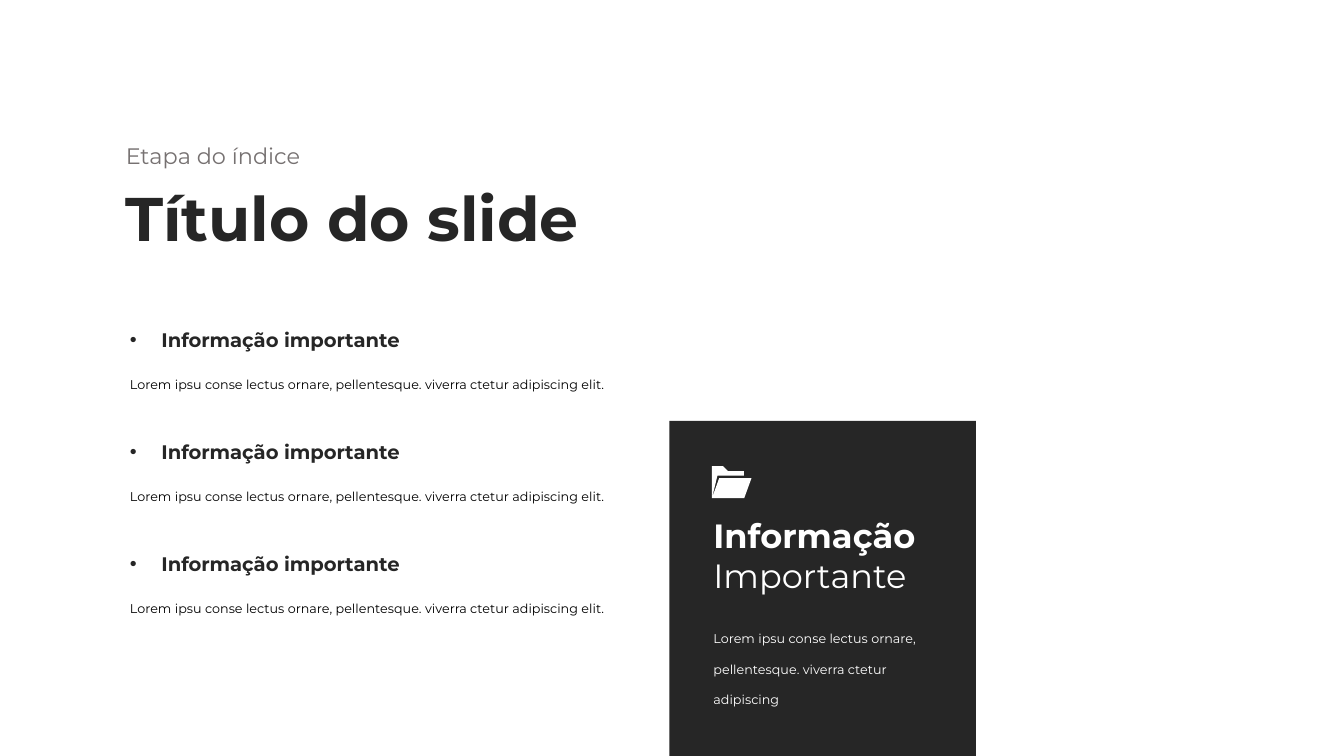
from dataclasses import dataclass

from lxml.etree import SubElement
from pptx import Presentation
from pptx.dml.color import RGBColor
from pptx.enum.shapes import MSO_SHAPE as Preset
from pptx.enum.text import MSO_ANCHOR as Anchor, MSO_AUTO_SIZE as AutoSize, PP_ALIGN as Align
from pptx.oxml.ns import qn
from pptx.util import Pt


@dataclass(frozen=True)
class Theme:
    font: str = "Montserrat"
    dark: str = "262626"
    grey: str = "767171"
    black: str = "000000"
    white: str = "FFFFFF"
    title: float = 33
    section: float = 12
    item: float = 10.5
    card: float = 18
    body: float = 6.8


THEME = Theme()
LOREM = "Lorem ipsu conse lectus ornare, pellentesque. viverra ctetur adipiscing"
ITEMS = [("Informação importante", LOREM + " elit.")] * 3
FOLDER_OUTLINES = [
    [(17.3, 17.2), (21.2, 6.5), (3.9, 6.5), (0, 17.2)],
    [(3, 5.1), (0, 17.2), (0, 0), (5.9, 0), (8.6, 2.7), (17.2, 2.7), (17.2, 5.1)],
]


def format_paragraph(paragraph, size, color, bold=False, spacing=None):
    paragraph.alignment = Align.LEFT
    if spacing:
        paragraph.line_spacing = spacing
    font_values = {"name": THEME.font, "size": Pt(size), "bold": bold}
    for name, value in font_values.items():
        setattr(paragraph.font, name, value)
    paragraph.font.color.rgb = RGBColor.from_string(color)


def add_text(slide, box, text, wrap=True):
    """Add a text box and return its paragraphs, one for each line of text."""
    frame = slide.shapes.add_textbox(*map(Pt, box)).text_frame
    frame.word_wrap = wrap
    frame.text = text
    return frame.paragraphs


def add_bullet(paragraph, indent):
    properties = paragraph._p.get_or_add_pPr()
    properties.set("marL", str(Pt(indent)))
    properties.set("indent", str(-Pt(indent)))
    SubElement(properties, qn("a:buFont"), typeface="Arial")
    SubElement(properties, qn("a:buChar"), char="•")


def fill_plain(shape, color):
    shape.shadow.inherit = False
    shape.fill.solid()
    shape.fill.fore_color.rgb = RGBColor.from_string(color)
    shape.line.fill.background()


def place_heading(slide, box, section, title):
    left, top, width, height = box
    section_box = (left, top, 109.5, 21.6)
    paragraph, = add_text(slide, section_box, section, wrap=False)
    format_paragraph(paragraph, THEME.section, THEME.grey)

    shape = slide.shapes.title
    placement = {"left": left, "top": top + 20.2, "width": width, "height": height - 20.2}
    for name, value in placement.items():
        setattr(shape, name, Pt(value))
    frame = shape.text_frame
    frame.text = title
    frame.word_wrap = True
    frame.auto_size = AutoSize.NONE
    frame.vertical_anchor = Anchor.TOP
    format_paragraph(frame.paragraphs[0], THEME.title, THEME.dark, bold=True)


def place_items(slide, box, items):
    left, top, width, height = box
    pitch = height / len(items)
    for index, (heading, body) in enumerate(items):
        item_top = top + index * pitch
        paragraph, = add_text(slide, (left, item_top, 165, 20), heading)
        add_bullet(paragraph, 16.9)
        format_paragraph(paragraph, THEME.item, THEME.dark, bold=True)
        paragraph, = add_text(slide, (left, item_top + 18, width, 21), body)
        format_paragraph(paragraph, THEME.body, THEME.black, spacing=2)


def place_folder(slide, left, top):
    builder = None
    for outline in FOLDER_OUTLINES:
        start, *rest = [(Pt(left + x), Pt(top + y)) for x, y in outline]
        if builder is None:
            builder = slide.shapes.build_freeform(*start)
        else:
            builder.move_to(*start)
        builder.add_line_segments(rest, close=True)
    fill_plain(builder.convert_to_shape(), THEME.white)


def place_card(slide, box, heading, body):
    left, top, width, height = box
    fill_plain(slide.shapes.add_shape(Preset.RECTANGLE, *map(Pt, box)), THEME.dark)
    place_folder(slide, left + 22.8, top + 24.2)
    text_left = left + 16.5
    paragraphs = add_text(slide, (text_left, top + 46.8, 124.6, 51), heading)
    for paragraph, bold in zip(paragraphs, (True, False)):
        format_paragraph(paragraph, THEME.card, THEME.white, bold=bold)
    paragraph, = add_text(slide, (text_left, top + 100.8, 133.2, 54), body)
    format_paragraph(paragraph, THEME.body, THEME.white, spacing=2)


def main():
    presentation = Presentation()
    presentation.slide_width, presentation.slide_height = Pt(720), Pt(405)
    title_only = presentation.slide_layouts.get_by_name("Title Only")
    slide = presentation.slides.add_slide(title_only)
    place_heading(slide, (60.3, 72.7, 271.5, 67.6), "Etapa do índice", "Título do slide")
    place_items(slide, (62.5, 172, 278, 180), ITEMS)
    place_card(slide, (358.6, 225.5, 164.2, 179.5), "Informação\nImportante", LOREM)
    presentation.save("out.pptx")


if __name__ == "__main__":
    main()
